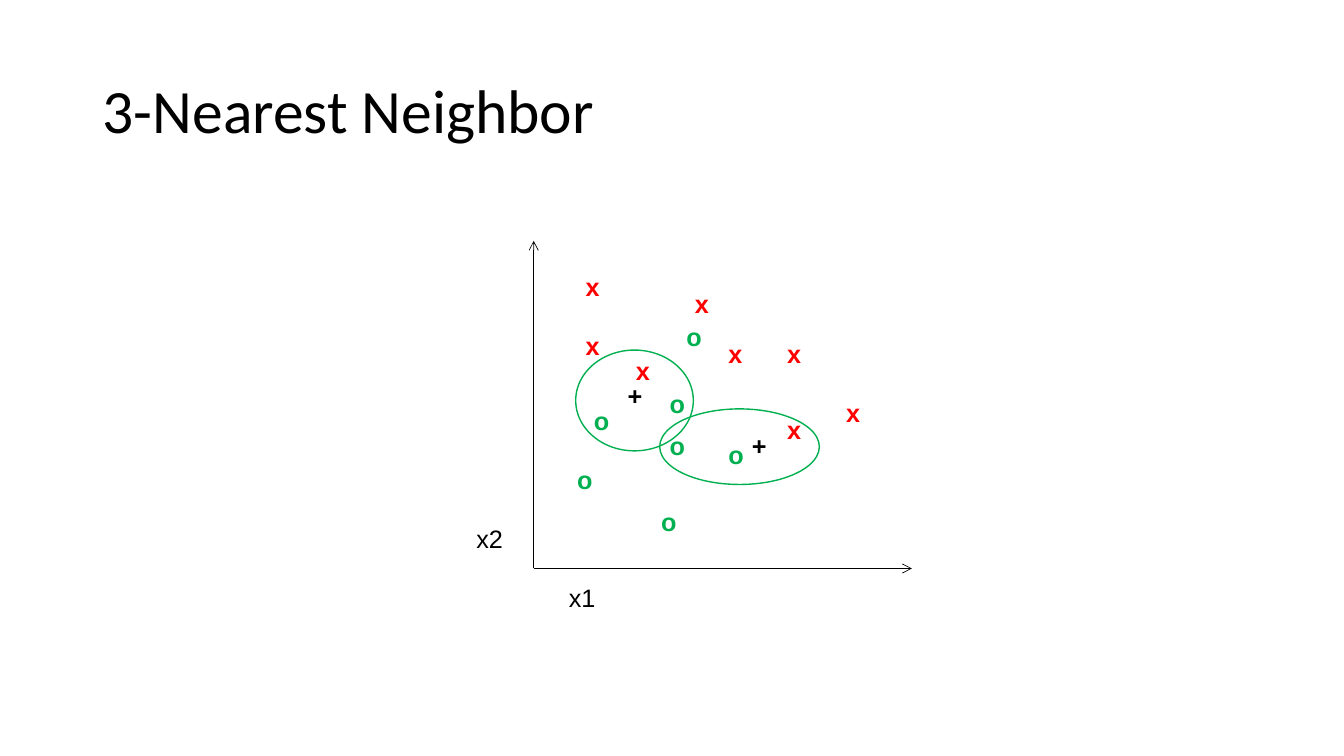
import pptx
import pptx.util
import pptx.dml.color
import pptx.enum.shapes
import pptx.enum.text
import pptx.oxml
import pptx.oxml.ns

COLORS = {"ink": "000000", "cross": "FF0000", "circle": "00B050"}
STEP = 1 / 12
LEFT, TOP = 5.71, 2.64

deck = pptx.Presentation()
deck.slide_width = pptx.util.Inches(13.33)
deck.slide_height = pptx.util.Inches(7.5)
slide = deck.slides.add_slide(deck.slide_layouts[6])


def grid(column, row):
    return pptx.util.Inches(LEFT + column * STEP), pptx.util.Inches(TOP + row * STEP)


def write(text, position, size, color, points=18, font="Arial", bold=False):
    box = slide.shapes.add_textbox(*position, *size)
    frame = box.text_frame
    frame.word_wrap = False
    run = frame.paragraphs[0].add_run()
    run.text = text
    run.font.name = font
    run.font.size = pptx.util.Pt(points)
    run.font.bold = bold
    run.font.color.rgb = pptx.dml.color.RGBColor.from_string(COLORS[color])
    return frame


title = write(
    "3-Nearest Neighbor",
    (pptx.util.Inches(0.92), pptx.util.Inches(0.4)),
    (pptx.util.Inches(11.5), pptx.util.Inches(1.45)),
    "ink", 44, "Calibri",
)
title.word_wrap = True
title.vertical_anchor = pptx.enum.text.MSO_ANCHOR.MIDDLE
title.paragraphs[0].line_spacing = 0.9

crosses = [(17, 8), (24, 8), (24, 17), (31, 15), (0, 0), (0, 7), (13, 2), (6, 10)]
circles = [(12, 6), (17, 20), (-1, 23), (1, 16), (9, 28), (10, 19), (10, 14)]
queries = [(5, 13), (19.8, 19)]
axis_names = {"x2": (-13, 30), "x1": (-2, 37)}

marks = [("x", cell, 0.34, "cross", True) for cell in crosses]
marks += [("o", cell, 0.36, "circle", True) for cell in circles]
marks += [(name, cell, 0.47, "ink", False) for name, cell in axis_names.items()]
marks += [("+", cell, 0.35, "ink", True) for cell in queries]
for symbol, cell, width, color, bold in marks:
    size = pptx.util.Inches(width), pptx.util.Inches(0.4)
    mark = write(symbol, grid(*cell), size, color, bold=bold)
    mark.auto_size = pptx.enum.text.MSO_AUTO_SIZE.SHAPE_TO_FIT_TEXT

origin = (-5, 36)
for axis_end in [(-5, -3), (40, 36)]:
    axis = slide.shapes.add_connector(
        pptx.enum.shapes.MSO_CONNECTOR.STRAIGHT, *grid(*origin), *grid(*axis_end)
    )
    axis.line.width = pptx.util.Pt(0.5)
    axis.line.color.rgb = pptx.dml.color.RGBColor.from_string(COLORS["ink"])
    arrowhead = pptx.oxml.parse_xml(
        f'<a:tailEnd {pptx.oxml.ns.nsdecls("a")} type="arrow"/>'
    )
    axis.line._get_or_add_ln().append(arrowhead)
    no_effects = pptx.oxml.parse_xml(f'<a:effectLst {pptx.oxml.ns.nsdecls("a")}/>')
    axis._element.spPr.append(no_effects)

for column, row, columns, rows in [(0, 10, 14, 12), (10, 17, 19, 9)]:
    neighborhood = slide.shapes.add_shape(
        pptx.enum.shapes.MSO_SHAPE.OVAL,
        *grid(column, row),
        pptx.util.Inches(columns * STEP),
        pptx.util.Inches(rows * STEP),
    )
    neighborhood.shadow.inherit = False
    neighborhood.fill.background()
    neighborhood.line.width = pptx.util.Pt(1)
    neighborhood.line.color.rgb = pptx.dml.color.RGBColor.from_string(COLORS["circle"])

deck.save("out.pptx")
